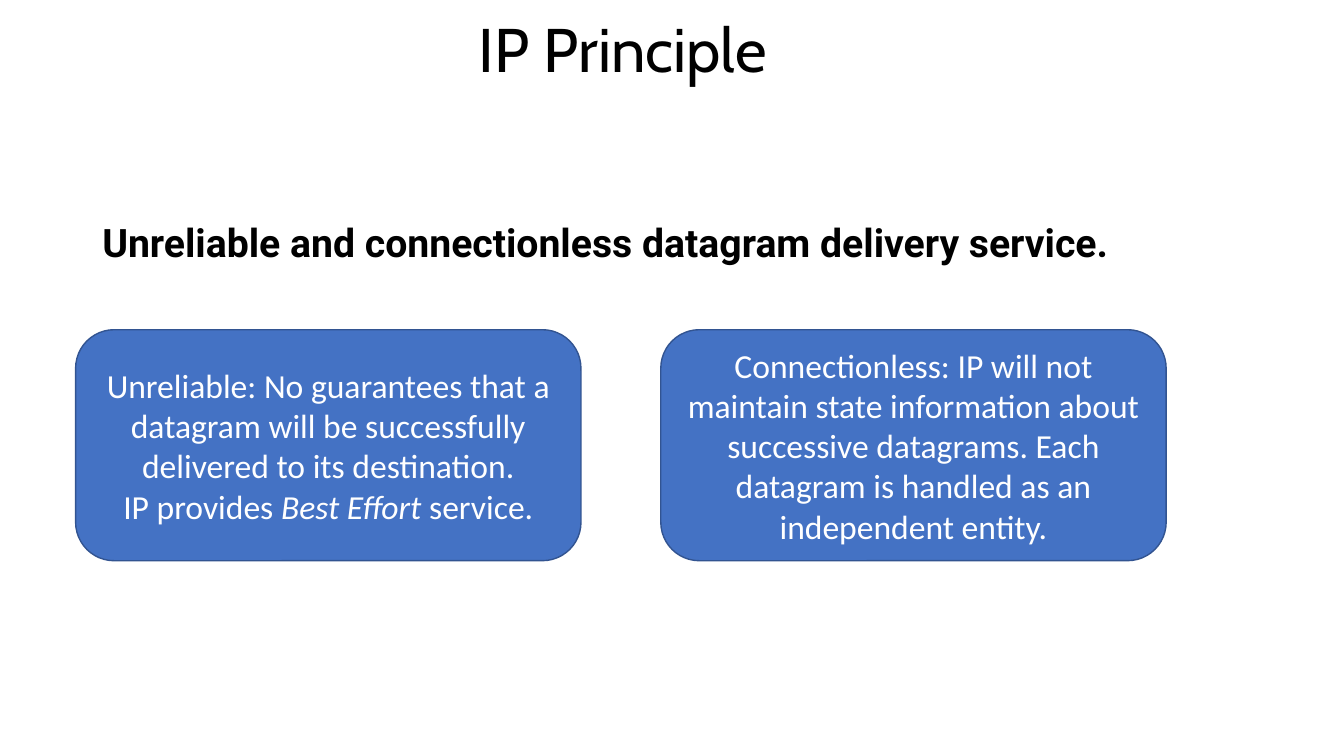
"""Build the IP Principle slide."""
from dataclasses import dataclass

from pptx import Presentation
from pptx.dml.color import RGBColor
from pptx.enum.shapes import MSO_SHAPE
from pptx.enum.text import MSO_ANCHOR, PP_ALIGN
from pptx.slide import Slide
from pptx.text.text import TextFrame
from pptx.util import Pt


@dataclass(frozen=True)
class TextStyle:
    """Font, size, colour and paragraph settings of a text."""

    font: str
    size: float
    color: RGBColor
    align: PP_ALIGN
    anchor: MSO_ANCHOR
    bold: bool = False
    line_spacing: float = 1.0
    space_before: float = 0


@dataclass(frozen=True)
class Theme:
    """Colours and type styles of the slide."""

    card_fill: RGBColor = RGBColor(0x44, 0x72, 0xC4)
    card_line: RGBColor = RGBColor(0x32, 0x54, 0x91)
    title: TextStyle = TextStyle(
        "Cabin", 44, RGBColor(0, 0, 0), PP_ALIGN.CENTER, MSO_ANCHOR.MIDDLE, line_spacing=0.9
    )
    summary: TextStyle = TextStyle(
        "Roboto", 28, RGBColor(0, 0, 0), PP_ALIGN.LEFT, MSO_ANCHOR.TOP,
        bold=True, line_spacing=0.9, space_before=10,
    )
    card: TextStyle = TextStyle(
        "Calibri", 24, RGBColor(255, 255, 255), PP_ALIGN.CENTER, MSO_ANCHOR.MIDDLE
    )


@dataclass(frozen=True)
class Block:
    """Place in points and paragraphs, whose every second span is italic."""

    left: float
    top: float
    width: float
    height: float
    paragraphs: tuple[tuple[str, ...], ...]

    def bounds(self) -> tuple[Pt, Pt, Pt, Pt]:
        """Return the place as lengths."""
        return Pt(self.left), Pt(self.top), Pt(self.width), Pt(self.height)


THEME = Theme()
CARD_LEFT, CARD_TOP, CARD_WIDTH, CARD_HEIGHT, CARD_PITCH = 54, 235.5, 361, 165, 418

TITLE = Block(96, 0, 698, 75.5, (("IP Principle",),))
SUMMARY = Block(
    66, 156, 828, 44, (("Unreliable and connectionless datagram delivery service.",),)
)
CARD_TEXTS = (
    (
        ("Unreliable: No guarantees that a datagram will be successfully "
         "delivered to its destination.",),
        ("IP provides ", "Best Effort ", "service."),
    ),
    (
        ("Connectionless: IP will not maintain state information about successive "
         "datagrams. Each datagram is handled as an independent entity.",),
    ),
)
CARDS = tuple(
    Block(CARD_LEFT + index * CARD_PITCH, CARD_TOP, CARD_WIDTH, CARD_HEIGHT, paragraphs)
    for index, paragraphs in enumerate(CARD_TEXTS)
)


def write_text(frame: TextFrame, block: Block, style: TextStyle) -> None:
    """Fill a frame with the paragraphs of a block and format them."""
    frame.text = "\n".join(spans[0] for spans in block.paragraphs)
    frame.word_wrap = True
    frame.vertical_anchor = style.anchor
    for para, spans in zip(frame.paragraphs, block.paragraphs):
        para.alignment = style.align
        para.line_spacing = style.line_spacing
        para.space_before = Pt(style.space_before)
        for text in spans[1:]:
            para.add_run().text = text
        for index, span in enumerate(para.runs):
            span.font.name = style.font
            span.font.size = Pt(style.size)
            span.font.color.rgb = style.color
            span.font.bold = style.bold
            span.font.italic = index % 2 == 1


def add_text(page: Slide, block: Block, style: TextStyle) -> None:
    """Add a plain text box."""
    box = page.shapes.add_textbox(*block.bounds())
    write_text(box.text_frame, block, style)


def add_card(page: Slide, block: Block) -> None:
    """Add a rounded card with its text."""
    box = page.shapes.add_shape(MSO_SHAPE.ROUNDED_RECTANGLE, *block.bounds())
    box.shadow.inherit = False
    box.fill.solid()
    box.fill.fore_color.rgb = THEME.card_fill
    box.line.color.rgb = THEME.card_line
    box.line.width = Pt(1)
    write_text(box.text_frame, block, THEME.card)


def main() -> None:
    """Build and save the deck."""
    deck = Presentation()
    deck.slide_width, deck.slide_height = Pt(960), Pt(540)
    page = deck.slides.add_slide(deck.slide_layouts[6])
    add_text(page, TITLE, THEME.title)
    add_text(page, SUMMARY, THEME.summary)
    for card in CARDS:
        add_card(page, card)
    deck.save("out.pptx")


if __name__ == "__main__":
    main()
